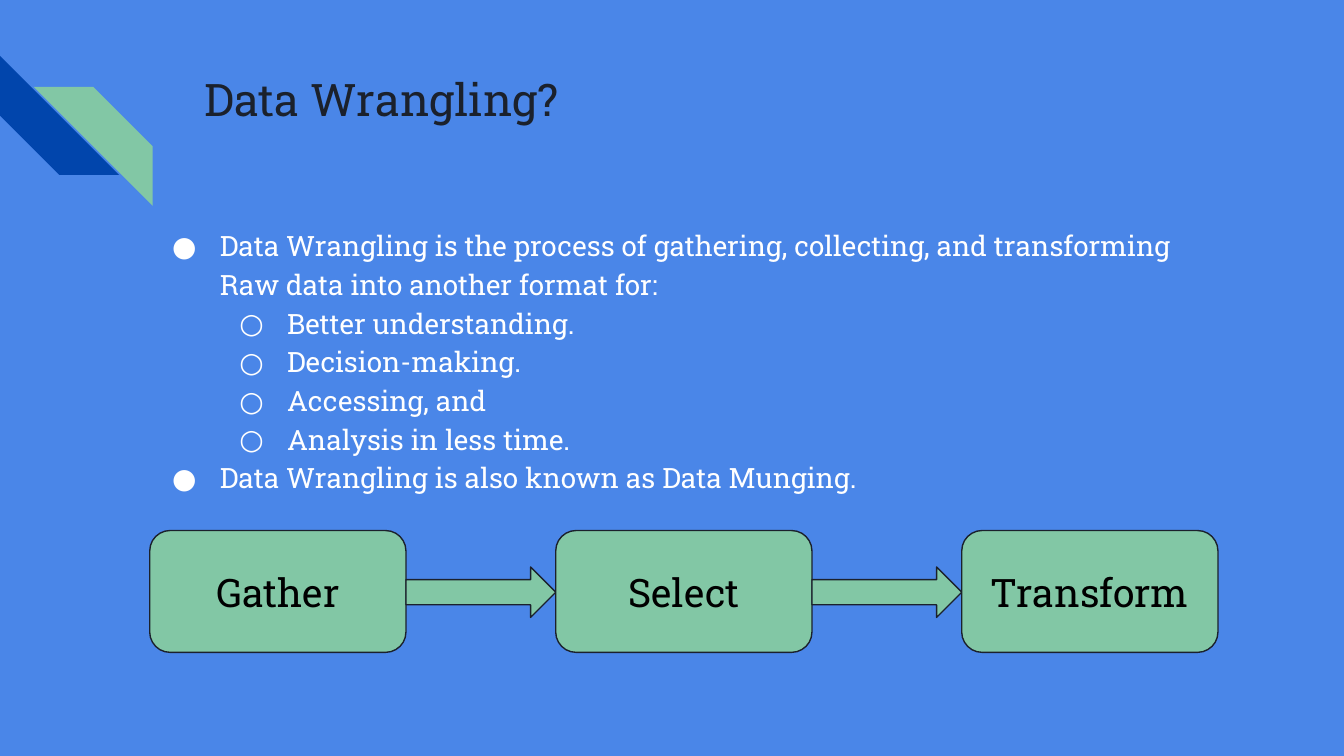
from lxml import etree
from pptx import Presentation
from pptx.dml.color import RGBColor
from pptx.enum.shapes import MSO_SHAPE
from pptx.enum.text import MSO_ANCHOR, PP_ALIGN
from pptx.oxml.ns import qn
from pptx.util import Emu, Pt

STRIPE = MSO_SHAPE.DIAGONAL_STRIPE
ROUNDED = MSO_SHAPE.ROUNDED_RECTANGLE
ARROW = MSO_SHAPE.RIGHT_ARROW
TOP = MSO_ANCHOR.TOP
MIDDLE = MSO_ANCHOR.MIDDLE
LEFT = PP_ALIGN.LEFT
CENTER = PP_ALIGN.CENTER

EMU_PER_PX = 9525
BLUE, NAVY, GREEN = "4A86E8", "0145AC", "82C7A5"
INK, BLACK, WHITE = "1B212C", "000000", "FFFFFF"

BULLETS = [
    (0, "Data Wrangling is the process of gathering, collecting, and transforming Raw data into another format for:"),
    (1, "Better understanding."),
    (1, "Decision-making."),
    (1, "Accessing, and"),
    (1, "Analysis in less time."),
    (0, "Data Wrangling is also known as Data Munging."),
]
STEPS = ["Gather", "Select", "Transform"]
STEP_LEFT, STEP_PITCH, STEP_WIDTH = 107, 290, 183


def px(length):
    return Emu(length * EMU_PER_PX)


def color(value):
    return RGBColor.from_string(value)


class SlideBuilder:
    font = "Roboto Slab"
    inset = 10
    line_width = 0.75
    bullet_marks = "●○"
    bullet_hang = 34
    bullet_step = 48

    def __init__(self, slide, background):
        self.slide = slide
        fill = slide.background.fill
        fill.solid()
        fill.fore_color.rgb = color(background)

    def shape(self, kind, box, fill, line=None, rotation=0):
        shape = self.slide.shapes.add_shape(kind, *map(px, box))
        shape.shadow.inherit = False
        shape.rotation = rotation
        shape.fill.solid()
        shape.fill.fore_color.rgb = color(fill)
        if line:
            shape.line.color.rgb = color(line)
            shape.line.width = Pt(self.line_width)
        else:
            shape.line.fill.background()
        return shape

    def frame(self, shape, anchor=TOP):
        frame = shape.text_frame
        frame.word_wrap = True
        frame.vertical_anchor = anchor
        frame.margin_left = frame.margin_right = px(self.inset)
        frame.margin_top = frame.margin_bottom = px(self.inset)
        return frame

    def run(self, paragraph, text, size, ink, align=LEFT):
        paragraph.alignment = align
        run = paragraph.add_run()
        run.text = text
        run.font.name = self.font
        run.font.size = Pt(size)
        run.font.color.rgb = color(ink)

    def text(self, box, text, size, ink):
        shape = self.slide.shapes.add_textbox(*map(px, box))
        self.run(self.frame(shape).paragraphs[0], text, size, ink)

    def step(self, box, text):
        shape = self.shape(ROUNDED, box, GREEN, INK)
        self.run(self.frame(shape, MIDDLE).paragraphs[0], text, 21, BLACK, CENTER)

    def bullet(self, paragraph, level, ink):
        paragraph.level = level
        paragraph.line_spacing = 1.15
        properties = paragraph._p.get_or_add_pPr()
        properties.set("marL", str(px(self.bullet_step * (level + 1))))
        properties.set("indent", str(px(-self.bullet_hang)))
        bullet_color = etree.SubElement(properties, qn("a:buClr"))
        etree.SubElement(bullet_color, qn("a:srgbClr"), val=ink)
        etree.SubElement(properties, qn("a:buFont"), typeface=self.font)
        etree.SubElement(properties, qn("a:buChar"), char=self.bullet_marks[level])

    def bullet_list(self, box, items, size, ink):
        frame = self.frame(self.slide.shapes.add_textbox(*map(px, box)))
        for index, (level, text) in enumerate(items):
            paragraph = frame.add_paragraph() if index else frame.paragraphs[0]
            self.bullet(paragraph, level, ink)
            self.run(paragraph, text, size, ink)


def main():
    presentation = Presentation()
    presentation.slide_width = px(960)
    presentation.slide_height = px(540)
    slide = presentation.slides.add_slide(presentation.slide_layouts[6])
    builder = SlideBuilder(slide, BLUE)

    builder.shape(STRIPE, (0, 40, 85, 85), NAVY, rotation=270)
    builder.shape(STRIPE, (24, 62, 85, 85), GREEN, rotation=90)
    builder.text((136, 41, 739, 96), "Data Wrangling?", 24, INK)

    for index, name in enumerate(STEPS):
        left = STEP_LEFT + index * STEP_PITCH
        if index:
            gap = STEP_PITCH - STEP_WIDTH
            builder.shape(ARROW, (left - gap, 405, gap, 36), GREEN, INK)
        builder.step((left, 379, STEP_WIDTH, 87), name)

    builder.bullet_list((99, 150, 753, 275), BULLETS, 15, WHITE)
    presentation.save("out.pptx")


if __name__ == "__main__":
    main()
